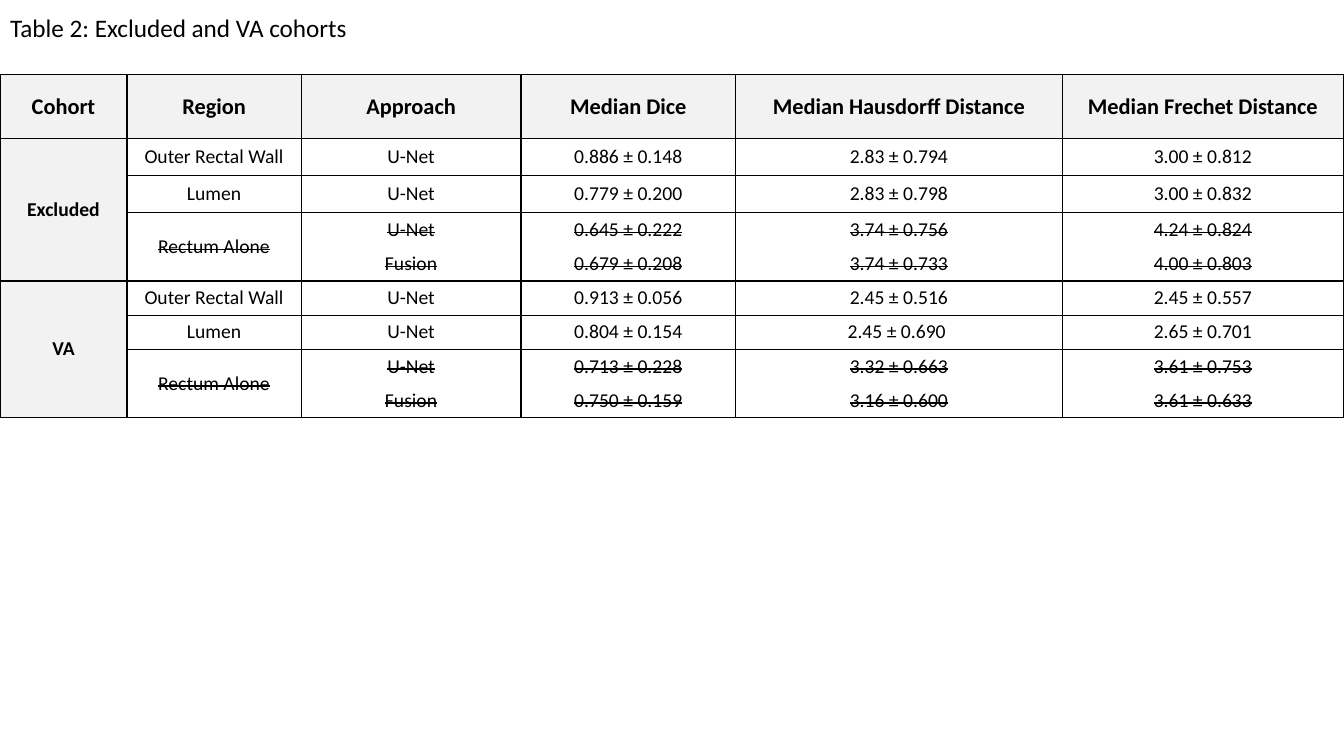
import pptx
import pptx.dml.color
import pptx.enum.text
import pptx.oxml
import pptx.oxml.ns
import pptx.util
from pptx.util import Cm

FONT = "Calibri"
BLACK = "000000"
GREY = "F2F2F2"
WIDTHS = [3.2, 4.39, 5.54, 5.41, 8.23, 7.09]
HEIGHTS = [1.6] + [0.94] * 2 + [0.86] * 6
HEADS = ["Cohort", "Region", "Approach", "Median Dice",
         "Median Hausdorff Distance", "Median Frechet Distance"]
COHORTS = {
    "Excluded": [
        ("Outer Rectal Wall", "U-Net", "0.886 ± 0.148", "2.83 ± 0.794", "3.00 ± 0.812"),
        ("Lumen", "U-Net", "0.779 ± 0.200", "2.83 ± 0.798", "3.00 ± 0.832"),
        ("Rectum Alone", "U-Net", "0.645 ± 0.222", "3.74 ± 0.756", "4.24 ± 0.824"),
        ("", "Fusion", "0.679 ± 0.208", "3.74 ± 0.733", "4.00 ± 0.803"),
    ],
    "VA": [
        ("Outer Rectal Wall", "U-Net", "0.913 ± 0.056", "2.45 ± 0.516", "2.45 ± 0.557"),
        ("Lumen", "U-Net", "0.804 ± 0.154", "2.45 ± 0.690 ", "2.65 ± 0.701"),
        ("Rectum Alone", "U-Net", "0.713 ± 0.228", "3.32 ± 0.663", "3.61 ± 0.753"),
        ("", "Fusion", "0.750 ± 0.159", "3.16 ± 0.600", "3.61 ± 0.633"),
    ],
}


def color(code):
    """Turn a hex string into a colour."""
    return pptx.dml.color.RGBColor.from_string(code)


def write(frame, text, size=14, bold=False, strike=False, align="CENTER"):
    """Put one formatted run of text in a frame."""
    para = frame.paragraphs[0]
    para.alignment = getattr(pptx.enum.text.PP_ALIGN, align)
    run = para.add_run()
    run.text = text
    run.font.name = FONT
    run.font.size = pptx.util.Pt(size)
    run.font.bold = bold
    run.font.color.rgb = color(BLACK)
    if strike:
        run._r.get_or_add_rPr().set("strike", "sngStrike")


def border(cell, hidden=""):
    """Draw the four sides of a cell, except the hidden one."""
    props = cell._tc.get_or_add_tcPr()
    for side in "LRTB":
        paint = ("<a:noFill/>" if side == hidden else
                 f'<a:solidFill><a:srgbClr val="{BLACK}"/></a:solidFill>')
        props.append(pptx.oxml.parse_xml(
            f'<a:ln{side} {pptx.oxml.ns.nsdecls("a")} w="{pptx.util.Pt(1)}">'
            f"{paint}</a:ln{side}>"))


def fill(cell, text, shade=None, hidden="", **style):
    """Format one table cell and write its text."""
    border(cell, hidden)
    if shade:
        cell.fill.solid()
        cell.fill.fore_color.rgb = color(shade)
    else:
        cell.fill.background()
    cell.vertical_anchor = pptx.enum.text.MSO_ANCHOR.MIDDLE
    if text:
        write(cell.text_frame, text, **style)


def title(slide, text):
    """Place the slide title at the top left."""
    box = slide.shapes.title
    box.left, box.top, box.width, box.height = Cm(0), Cm(0.18), Cm(10.24), Cm(1.02)
    frame = box.text_frame
    frame.word_wrap = False
    frame.auto_size = pptx.enum.text.MSO_AUTO_SIZE.NONE
    frame.vertical_anchor = pptx.enum.text.MSO_ANCHOR.TOP
    write(frame, text, size=18, align="LEFT")


def grid(slide):
    """Add an empty table with its column and row sizes."""
    table = slide.shapes.add_table(
        len(HEIGHTS), len(WIDTHS), Cm(0), Cm(1.88),
        Cm(sum(WIDTHS)), Cm(sum(HEIGHTS))).table
    table.first_row = table.horz_banding = False
    for col, width in zip(table.columns, WIDTHS):
        col.width = Cm(width)
    for row, height in zip(table.rows, HEIGHTS):
        row.height = Cm(height)
    return table


def cohort(table, top, name, rows):
    """Fill the rows of one cohort and merge its shared cells."""
    for i, row in enumerate(rows):
        fill(table.cell(top + i, 0), "" if i else name, shade=GREY, bold=True)
        for j, text in enumerate(row, 1):
            hidden = {2: "B", 3: "T"}.get(i, "") if j > 1 else ""
            fill(table.cell(top + i, j), text, hidden=hidden, strike=i > 1)
    last = top + len(rows) - 1
    table.cell(top, 0).merge(table.cell(last, 0))
    table.cell(last - 1, 1).merge(table.cell(last, 1))


def main():
    """Build the slide and save it."""
    deck = pptx.Presentation()
    deck.slide_width, deck.slide_height = Cm(33.87), Cm(19.05)
    slide = deck.slides.add_slide(deck.slide_layouts[5])
    title(slide, "Table 2: Excluded and VA cohorts")
    table = grid(slide)
    for j, head in enumerate(HEADS):
        fill(table.cell(0, j), head, shade=GREY, size=16, bold=True)
    top = 1
    for name, rows in COHORTS.items():
        cohort(table, top, name, rows)
        top += len(rows)
    deck.save("out.pptx")


if __name__ == "__main__":
    main()
